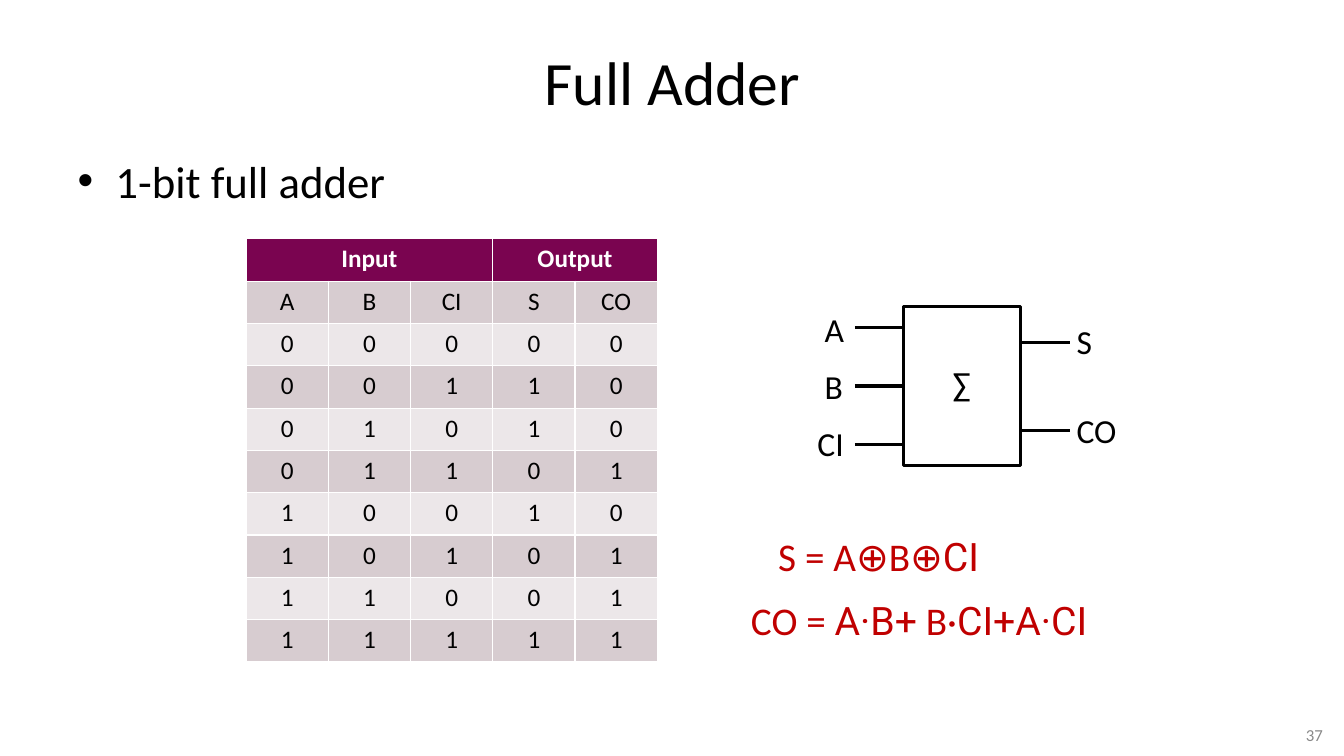
import itertools

import lxml.etree
import pptx
import pptx.dml.color
import pptx.enum.shapes
import pptx.enum.text
import pptx.oxml.ns
import pptx.util

PX = 9144
ALIGN = pptx.enum.text.PP_ALIGN
ANCHOR = pptx.enum.text.MSO_ANCHOR
FIT = pptx.enum.text.MSO_AUTO_SIZE
BLACK, WHITE, RED, GRAY = "000000", "FFFFFF", "C00000", "898989"
HEADER, DARK_BAND, LIGHT_BAND = "7A0450", "D7CCD0", "ECE7E9"


def px(*lengths):
    return [pptx.util.Emu(length * PX) for length in lengths]


def rgb(value):
    return pptx.dml.color.RGBColor.from_string(value)


def apply(target, values):
    for name, value in values.items():
        setattr(target, name, value)


def paint(shape_fill, color):
    shape_fill.solid()
    shape_fill.fore_color.rgb = rgb(color)


def write(para, spans, size, color=BLACK, bold=False, align=ALIGN.LEFT):
    para.alignment = align
    for text, font_name in spans:
        span = para.add_run()
        span.text = text
        apply(span.font, {"name": font_name, "size": pptx.util.Pt(size), "bold": bold})
        span.font.color.rgb = rgb(color)


def fill_placeholder(holder, place, text, size, align, anchor):
    apply(holder, dict(zip(("left", "top", "width", "height"), px(*place))))
    apply(holder.text_frame, {"vertical_anchor": anchor, "auto_size": FIT.NONE, "word_wrap": True})
    para = holder.text_frame.paragraphs[0]
    para.space_before = pptx.util.Pt(0)
    write(para, [(text, "Calibri")], size, align=align)


def add_text(page, place, spans, size, color=BLACK, align=ALIGN.LEFT, **frame):
    box = page.shapes.add_textbox(*px(*place))
    apply(box.text_frame, {"word_wrap": True, "auto_size": FIT.SHAPE_TO_FIT_TEXT, **frame})
    write(box.text_frame.paragraphs[0], spans, size, color, align=align)


def add_label(page, place, text):
    add_text(page, place, [(text, "Calibri")], 24, word_wrap=False)


def add_wire(page, start, end, y):
    wire = page.shapes.add_connector(
        pptx.enum.shapes.MSO_CONNECTOR.STRAIGHT, *px(start, y, end, y))
    wire.line.color.rgb = rgb(BLACK)
    wire.line.width = pptx.util.Pt(2.25)
    lxml.etree.SubElement(wire._element.spPr, pptx.oxml.ns.qn("a:effectLst"))
    return wire


def fill_cell(cell, text, fill, color=BLACK, bold=False):
    paint(cell.fill, fill)
    write(cell.text_frame.paragraphs[0], [(text, "Calibri")], 18, color, bold, ALIGN.CENTER)


def add_truth_table(page):
    rows = [("A", "B", "CI", "S", "CO")]
    for bits in itertools.product((0, 1), repeat=3):
        rows.append((*bits, sum(bits) % 2, sum(bits) // 2))
    table = page.shapes.add_table(len(rows) + 1, 5, *px(244, 237, 408, 420)).table
    for text, first, last in (("Input", 0, 2), ("Output", 3, 4)):
        table.cell(0, first).merge(table.cell(0, last))
        fill_cell(table.cell(0, first), text, HEADER, WHITE, True)
    for number, values in enumerate(rows, 1):
        band = DARK_BAND if number % 2 else LIGHT_BAND
        for column, value in enumerate(values):
            fill_cell(table.cell(number, column), str(value), band)


def add_adder_symbol(page):
    adder = page.shapes.add_shape(
        pptx.enum.shapes.MSO_SHAPE.RECTANGLE, *px(896, 304, 116, 158))
    adder.shadow.inherit = False
    paint(adder.fill, WHITE)
    adder.line.color.rgb = rgb(BLACK)
    adder.line.width = pptx.util.Pt(2)
    add_label(page, (935, 355, 38, 50), "∑")

    input_wires = [add_wire(page, 848, 896, 325 + 58 * number) for number in range(3)]
    input_wires[1].end_connect(adder, 1)
    for y in (340, 427):
        add_wire(page, 1012, 1061, y)

    for place, text in (
        ((808, 302, 40, 50), "A"),
        ((808, 358, 38, 50), "B"),
        ((801, 415, 46, 50), "CI"),
        ((1058, 313, 36, 50), "S"),
        ((1058, 402, 60, 50), "CO"),
    ):
        add_label(page, place, text)


def main():
    deck = pptx.Presentation()
    deck.slide_width, deck.slide_height = px(1333, 750)
    page = deck.slides.add_slide(deck.slide_layouts[1])
    title, body = page.placeholders
    fill_placeholder(title, (67, 30, 1200, 101), "Full Adder", 44, ALIGN.CENTER, ANCHOR.MIDDLE)
    fill_placeholder(body, (67, 147, 1200, 551), "1-bit full adder", 32, ALIGN.LEFT, ANCHOR.TOP)
    add_truth_table(page)
    add_adder_symbol(page)
    add_text(page, (762, 523, 253, 57), [
        ("S = A", "Calibri"), ("⊕", "Roboto"), ("B", "Calibri"), ("⊕CI", "Roboto"),
    ], 28, RED)
    add_text(page, (735, 587, 388, 57), [
        ("CO = ", "Calibri"), ("A·B+", "Roboto"), (" B·", "Calibri"), ("CI+A·CI", "Roboto"),
    ], 28, RED)
    add_text(page, (1179, 714, 143, 29), [("37", "Calibri")], 12, GRAY, ALIGN.RIGHT,
             vertical_anchor=ANCHOR.MIDDLE, auto_size=FIT.NONE)
    deck.save("out.pptx")


if __name__ == "__main__":
    main()
